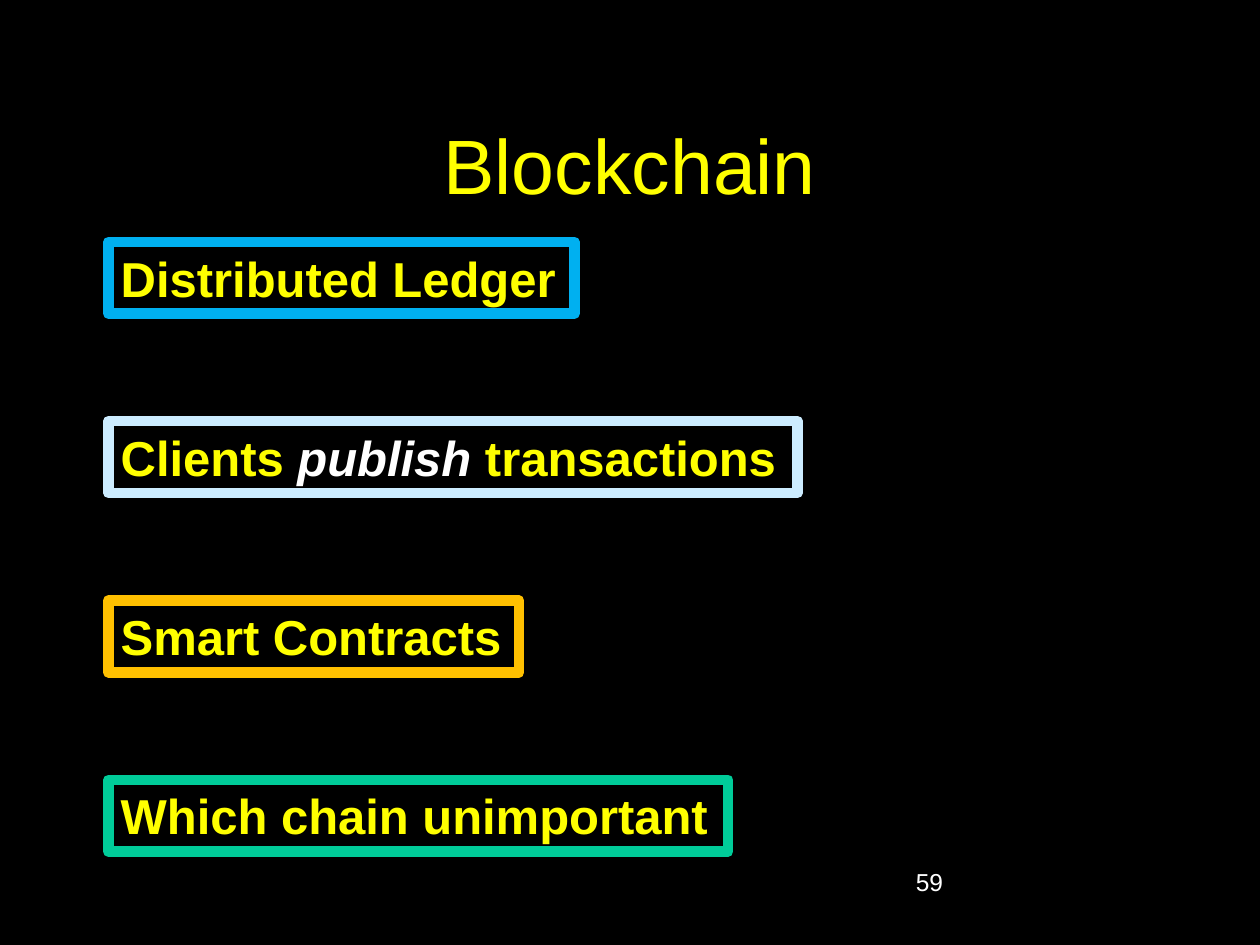
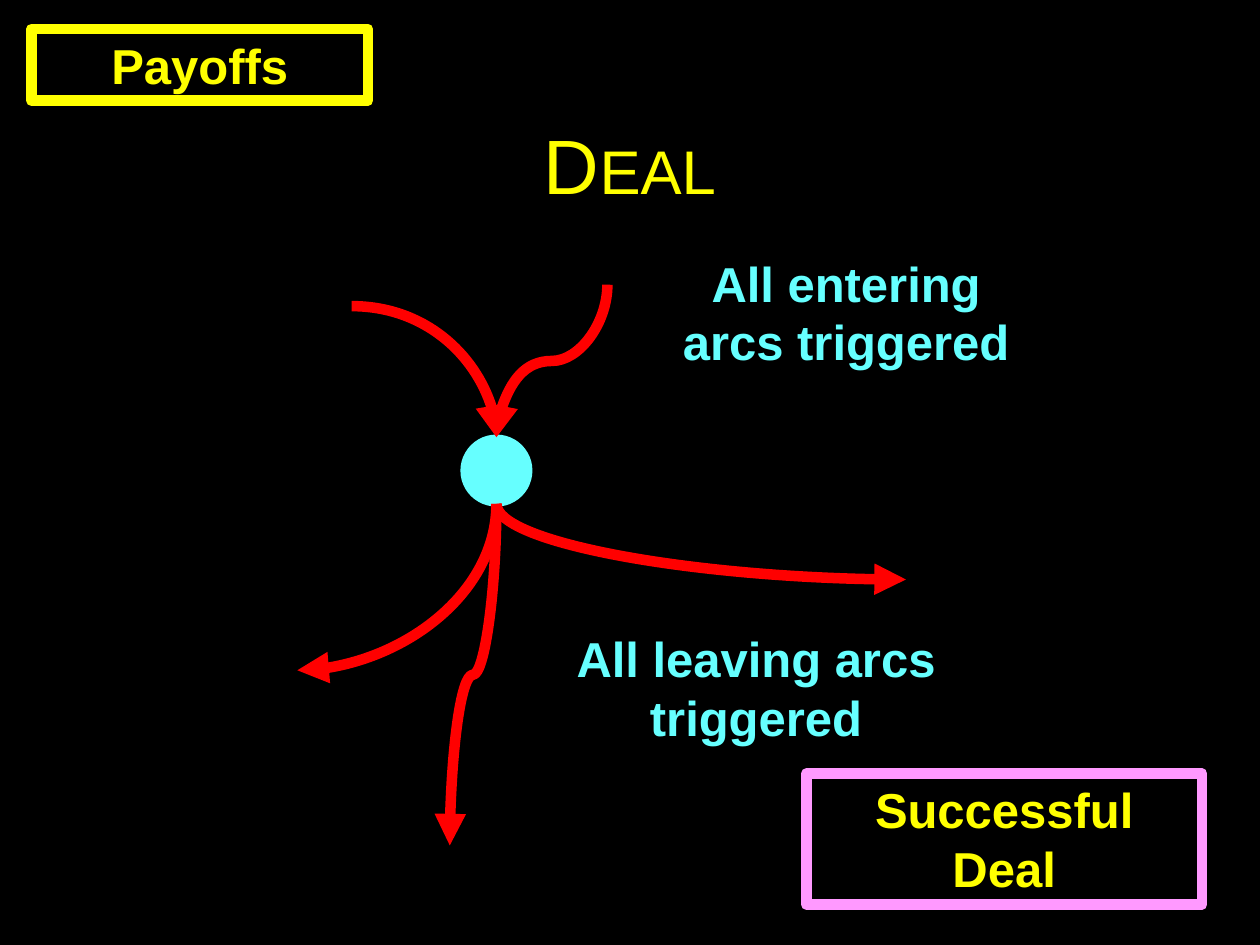
from dataclasses import dataclass
from typing import NamedTuple, Optional

from lxml import etree
from pptx import Presentation
from pptx import util as u
from pptx.dml.color import RGBColor
from pptx.enum import shapes, text
from pptx.oxml import ns


@dataclass(frozen=True)
class Theme:
    font: str = "Arial"
    background: str = "000000"
    heading: str = "FFFF00"
    plain: str = "FFFFFF"
    node: str = "66FFFF"
    arc: str = "FF0000"
    blue: str = "00B0F0"
    pale: str = "CCECFF"
    gold: str = "FFC000"
    green: str = "00CC99"
    pink: str = "FF99FF"
    title_size: int = 44
    label_size: int = 28
    number_size: int = 14
    thick: int = 6
    thin: int = 3


THEME = Theme()
COLUMNS, ROWS = 100, 75
SLIDE_WIDTH, SLIDE_HEIGHT = u.Inches(10), u.Inches(7.5)
LINE_HEIGHT, LABEL_PADDING = 4.7, 1.0
LEFT, CENTER = text.PP_ALIGN.LEFT, text.PP_ALIGN.CENTER


class Point(NamedTuple):
    column: float
    row: float


class Area(NamedTuple):
    column: float
    row: float
    columns: float
    rows: float


class Run(NamedTuple):
    words: str
    color: str = THEME.heading
    size: int = THEME.label_size
    bold: bool = True
    italic: bool = False
    small_caps: bool = False


class Label(NamedTuple):
    runs: tuple[Run, ...]
    corner: Point
    columns: float
    border: Optional[str] = None
    lines: int = 1
    align: text.PP_ALIGN = CENTER
    wrap: bool = True


class Arc(NamedTuple):
    """A curve; a bend starts level and ends upright, an S is upright at both ends."""
    start: Point
    end: Point
    arrow: str
    bend: bool = True


def across(columns: float) -> int:
    return round(SLIDE_WIDTH * columns / COLUMNS)


def down(rows: float) -> int:
    return round(SLIDE_HEIGHT * rows / ROWS)


def place(area: Area) -> tuple[int, int, int, int]:
    return across(area.column), down(area.row), across(area.columns), down(area.rows)


def rgb(color: str) -> RGBColor:
    return RGBColor.from_string(color)


def write(shape, runs: tuple[Run, ...], align, anchor=text.MSO_ANCHOR.TOP, wrap=True) -> None:
    frame = shape.text_frame
    frame.word_wrap = wrap
    frame.vertical_anchor = anchor
    paragraph = frame.paragraphs[0]
    paragraph.alignment = align
    for item in runs:
        run = paragraph.add_run()
        run.text = item.words
        run.font.name = THEME.font
        run.font.size = u.Pt(item.size)
        run.font.bold = item.bold
        run.font.italic = item.italic
        run.font.color.rgb = rgb(item.color)
        if item.small_caps:
            run.font._element.set("cap", "small")


def add_text(slide, area: Area, run: Run, align=LEFT, anchor=text.MSO_ANCHOR.TOP) -> None:
    write(slide.shapes.add_textbox(*place(area)), (run,), align, anchor)


def add_figure(slide, kind, area: Area, fill: str, border: Optional[str], width: int):
    shape = slide.shapes.add_shape(kind, *place(area))
    shape.shadow.inherit = False
    shape.fill.solid()
    shape.fill.fore_color.rgb = rgb(fill)
    if border:
        shape.line.color.rgb = rgb(border)
        shape.line.width = u.Pt(width)
    else:
        shape.line.fill.background()
    return shape


def add_label(slide, label: Label) -> None:
    area = Area(*label.corner, label.columns, LABEL_PADDING + LINE_HEIGHT * label.lines)
    shape = add_figure(slide, shapes.MSO_SHAPE.RECTANGLE, area,
                       THEME.background, label.border, THEME.thick)
    write(shape, label.runs, label.align, wrap=label.wrap)
    shape.text_frame.auto_size = text.MSO_AUTO_SIZE.SHAPE_TO_FIT_TEXT


def quarter_turn_back(point: Point, center: Point) -> Point:
    return Point(center.column + point.row - center.row,
                 center.row - point.column + center.column)


def add_arc(slide, arc: Arc) -> None:
    start, end = arc.start, arc.end
    if not arc.bend:
        center = Point((start.column + end.column) / 2, (start.row + end.row) / 2)
        start, end = (quarter_turn_back(point, center) for point in (start, end))
    connector = slide.shapes.add_connector(
        shapes.MSO_CONNECTOR.CURVE, across(start.column), down(start.row),
        across(end.column), down(end.row))
    connector.line.color.rgb = rgb(THEME.arc)
    connector.line.width = u.Pt(THEME.thick)
    properties = connector._element.spPr
    if arc.bend:
        properties.find(ns.qn("a:prstGeom")).set("prst", "curvedConnector2")
    else:
        properties.find(ns.qn("a:xfrm")).set("rot", str(90 * 60000))
    etree.SubElement(properties.find(ns.qn("a:ln")), ns.qn(f"a:{arc.arrow}"), type="triangle")
    etree.SubElement(properties, ns.qn("a:effectLst"))


def add_titled_slide(presentation, title: str, small_caps: bool = False):
    slide = presentation.slides.add_slide(presentation.slide_layouts[6])
    slide.background.fill.solid()
    slide.background.fill.fore_color.rgb = rgb(THEME.background)
    run = Run(title, size=THEME.title_size, bold=False, small_caps=small_caps)
    add_text(slide, Area(7.5, 6.7, 85, 12.5), run, CENTER, text.MSO_ANCHOR.MIDDLE)
    return slide


def build_blockchain(presentation) -> None:
    slide = add_titled_slide(presentation, "Blockchain")
    add_text(slide, Area(71.7, 68.3, 20.8, 5),
             Run("59", THEME.plain, THEME.number_size, bold=False))
    publish = (Run("Clients "), Run("publish", THEME.plain, italic=True), Run(" transactions"))
    features = (
        ((Run("Distributed Ledger"),), 37, THEME.blue),
        (publish, 54.7, THEME.pale),
        ((Run("Smart Contracts"),), 32.6, THEME.gold),
        ((Run("Which chain unimportant"),), 49.2, THEME.green),
    )
    first_row, pitch = 19.2, 14.23
    for index, (runs, columns, border) in enumerate(features):
        corner = Point(8.6, first_row + pitch * index)
        add_label(slide, Label(runs, corner, columns, border, align=LEFT, wrap=False))


def build_deal(presentation) -> None:
    slide = add_titled_slide(presentation, "Deal", small_caps=True)
    diameter = 5.3
    entry, leave = Point(39.4, 34.7), Point(39.4, 40)
    add_figure(slide, shapes.MSO_SHAPE.OVAL,
               Area(entry.column - diameter / 2, entry.row, diameter, diameter),
               THEME.node, THEME.node, THEME.thin)
    arcs = (
        Arc(Point(71.9, 46), leave, "headEnd"),
        Arc(Point(23.6, 53.2), leave, "headEnd"),
        Arc(Point(27.9, 24.3), entry, "tailEnd"),
        Arc(Point(35.7, 67.1), leave, "headEnd", bend=False),
        Arc(entry, Point(48.2, 22.6), "headEnd", bend=False),
    )
    for arc in arcs:
        add_arc(slide, arc)
    labels = (
        Label((Run("Payoffs"),), Point(2.5, 2.3), 26.7, THEME.heading),
        Label((Run("All entering arcs triggered", THEME.node),), Point(51.1, 19.6), 32.1, lines=2),
        Label((Run("All leaving arcs triggered", THEME.node),), Point(42.1, 49.4), 35.8, lines=2),
        Label((Run("Successful Deal"),), Point(64, 61.4), 31.4, THEME.pink, lines=2),
    )
    for label in labels:
        add_label(slide, label)


def main() -> None:
    presentation = Presentation()
    presentation.slide_width, presentation.slide_height = SLIDE_WIDTH, SLIDE_HEIGHT
    build_blockchain(presentation)
    build_deal(presentation)
    presentation.save("out.pptx")


if __name__ == "__main__":
    main()
